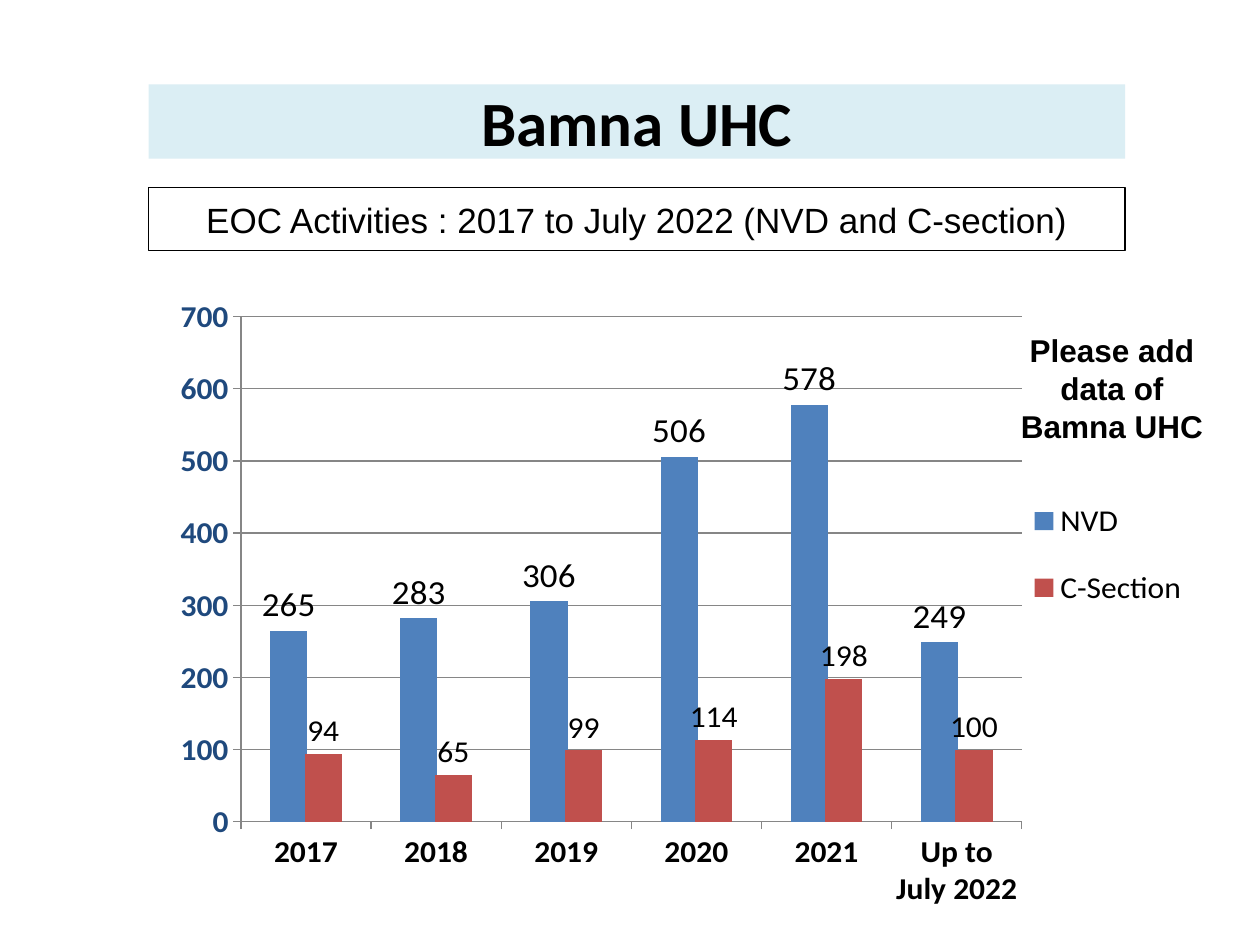
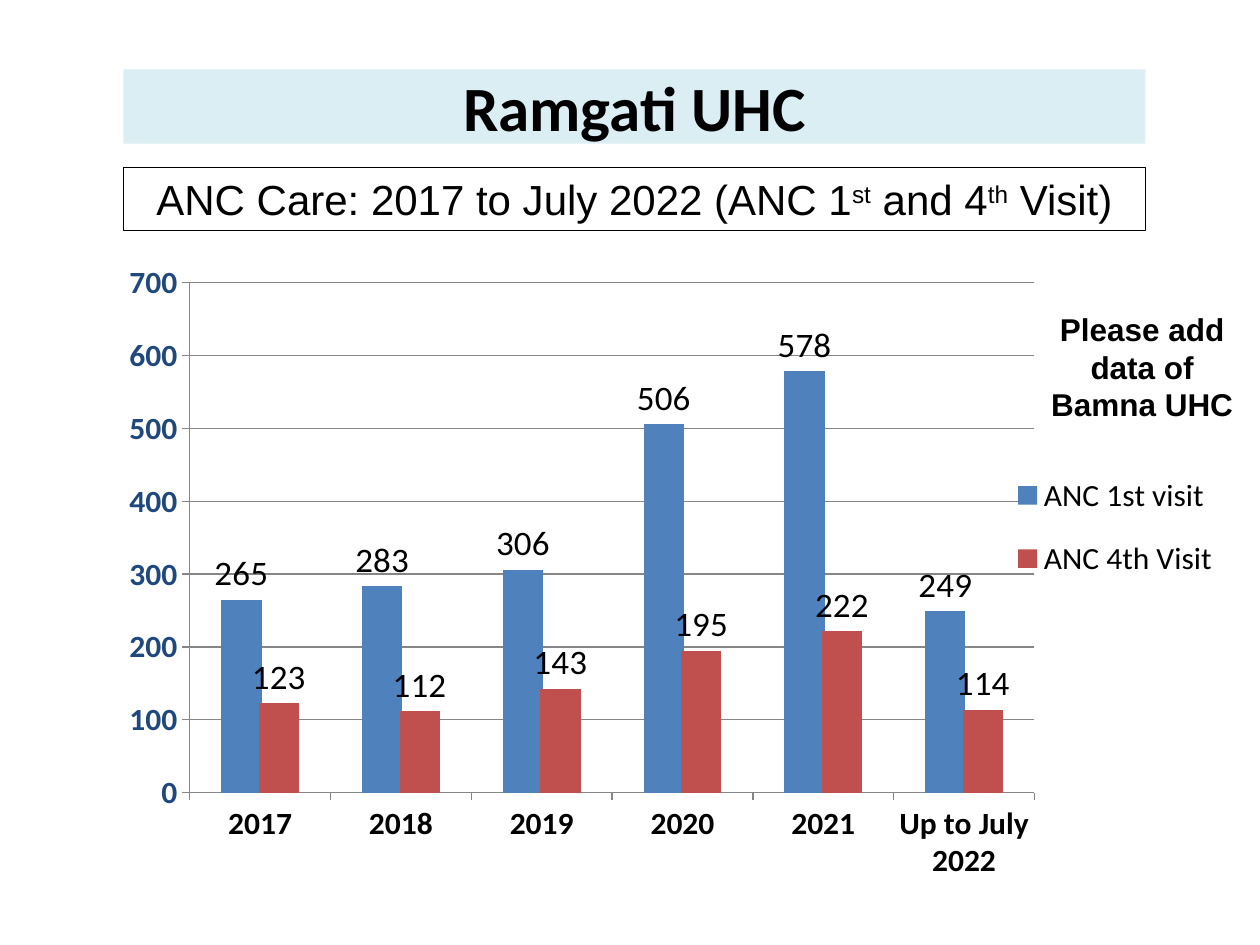
import pptx
import pptx.chart.data
import pptx.dml.color
import pptx.enum.chart
import pptx.enum.shapes
import pptx.enum.text
import pptx.oxml
import pptx.oxml.ns
import pptx.util
from dataclasses import dataclass

Inches = pptx.util.Inches
Pt = pptx.util.Pt


@dataclass(frozen=True)
class Theme:
    heading_font: str = "Calibri"
    body_font: str = "Arial"
    ink: str = "000000"
    paper: str = "FFFFFF"
    title_band: str = "DBEEF4"
    axis_numbers: str = "1F497D"
    rule: str = "868686"
    series: tuple = ("4F81BD", "C0504D")
    title_size: int = 36
    base_size: int = 18
    large_label_size: int = 20
    border_width: float = 0.75


THEME = Theme()
BAND_HEIGHT = 0.59
CAPTION_HEIGHT = 0.5
NOTE_SIZE = (1.87, 1.01)
PLOT_SIZE = (0.745, 0.837)
YEARS = ("2017", "2018", "2019", "2020", "2021", "Up to July 2022")
REQUEST = "Please add data of Bamna UHC"


def rgb(value):
    return pptx.dml.color.RGBColor.from_string(value)


def apply(target, formats):
    for name, value in formats.items():
        setattr(target, name, value)


def style_font(font, size, name, bold=False, color=THEME.ink):
    apply(font, {"size": Pt(size), "name": name, "bold": bold})
    font.color.rgb = rgb(color)


def write_centred(frame, pieces, size, name, bold=False):
    """Write (text, is_superscript) pieces as one centred paragraph."""
    paragraph = frame.paragraphs[0]
    paragraph.alignment = pptx.enum.text.PP_ALIGN.CENTER
    for text, superscript in pieces:
        run = paragraph.add_run()
        run.text = text
        style_font(run.font, size, name, bold)
        if superscript:
            run._r.get_or_add_rPr().set("baseline", "30000")


def add_panel(slide, box, fill):
    panel = slide.shapes.add_shape(
        pptx.enum.shapes.MSO_SHAPE.RECTANGLE, *map(Inches, box))
    panel.shadow.inherit = False
    panel.fill.solid()
    panel.fill.fore_color.rgb = rgb(fill)
    apply(panel.text_frame, {
        "word_wrap": True,
        "vertical_anchor": pptx.enum.text.MSO_ANCHOR.MIDDLE,
    })
    return panel


def add_title_band(slide, box, title):
    band = add_panel(slide, box, THEME.title_band)
    band.line.fill.background()
    apply(band.text_frame, {
        "margin_left": Inches(0.07), "margin_right": Inches(0.07),
        "margin_top": Inches(0.04), "margin_bottom": Inches(0.04),
    })
    write_centred(band.text_frame, [(title, False)], THEME.title_size,
                  THEME.heading_font, bold=True)


def add_caption(slide, box, pieces, size):
    caption = add_panel(slide, box, THEME.paper)
    caption.line.color.rgb = rgb(THEME.ink)
    caption.line.width = Pt(THEME.border_width)
    write_centred(caption.text_frame, pieces, size, THEME.body_font)


def add_request_note(slide, box):
    note = slide.shapes.add_textbox(*map(Inches, box))
    apply(note.text_frame, {
        "word_wrap": True,
        "auto_size": pptx.enum.text.MSO_AUTO_SIZE.SHAPE_TO_FIT_TEXT,
    })
    write_centred(note.text_frame, [(REQUEST, False)], THEME.base_size,
                  THEME.body_font, bold=True)


def manual_layout(fractions, inner=False):
    """Build a chart layout from left, top, width and height fractions."""
    target = '<c:layoutTarget val="inner"/>' if inner else ""
    modes = '<c:xMode val="edge"/><c:yMode val="edge"/>'
    sides = "".join(f'<c:{side} val="{value}"/>'
                    for side, value in zip("xywh", fractions))
    return pptx.oxml.parse_xml(
        f'<c:layout {pptx.oxml.ns.nsdecls("c")}><c:manualLayout>'
        f'{target}{modes}{sides}</c:manualLayout></c:layout>')


def place_chart_parts(chart, plot_origin, legend_area):
    plot_area = chart._chartSpace.chart.plotArea
    legend = chart.legend._element
    for old in plot_area.findall(pptx.oxml.ns.qn("c:layout")):
        plot_area.remove(old)
    plot_area.insert(0, manual_layout((*plot_origin, *PLOT_SIZE), inner=True))
    for old in legend.findall(pptx.oxml.ns.qn("c:layout")):
        legend.remove(old)
    position = legend.find(pptx.oxml.ns.qn("c:legendPos"))
    position.addnext(manual_layout(legend_area))


def style_axes(chart):
    for axis, color in ((chart.category_axis, THEME.ink),
                        (chart.value_axis, THEME.axis_numbers)):
        axis.major_tick_mark = pptx.enum.chart.XL_TICK_MARK.OUTSIDE
        axis.format.line.color.rgb = rgb(THEME.rule)
        style_font(axis.tick_labels.font, THEME.base_size,
                   THEME.heading_font, True, color)
    apply(chart.value_axis, {
        "minimum_scale": 0, "maximum_scale": 700, "major_unit": 100,
        "has_major_gridlines": True,
    })
    chart.value_axis.major_gridlines.format.line.color.rgb = rgb(THEME.rule)


def add_visits_chart(slide, box, counts, label_sizes, plot_origin, legend_area):
    data = pptx.chart.data.CategoryChartData()
    data.categories = YEARS
    for service, values in counts.items():
        data.add_series(service, values)
    chart = slide.shapes.add_chart(
        pptx.enum.chart.XL_CHART_TYPE.COLUMN_CLUSTERED,
        *map(Inches, box), data).chart
    apply(chart, {"has_title": False, "has_legend": True})
    style_font(chart.font, THEME.base_size, THEME.heading_font)
    apply(chart.legend, {
        "position": pptx.enum.chart.XL_LEGEND_POSITION.RIGHT,
        "include_in_layout": False,
    })
    style_axes(chart)

    # Columns and their value labels
    columns = chart.plots[0]
    apply(columns, {"gap_width": 157, "overlap": 7,
                    "vary_by_categories": False})
    for service, color, size in zip(columns.series, THEME.series, label_sizes):
        service.format.fill.solid()
        service.format.fill.fore_color.rgb = rgb(color)
        apply(service.data_labels, {
            "show_value": True,
            "position": pptx.enum.chart.XL_LABEL_POSITION.OUTSIDE_END,
        })
        style_font(service.data_labels.font, size, THEME.heading_font)
    place_chart_parts(chart, plot_origin, legend_area)


def add_centre_slide(deck, heading_box, centre, caption, chart, note_at):
    """Add a health centre slide; heading_box is left, top, width, caption top."""
    slide = deck.slides.add_slide(deck.slide_layouts[6])
    left, top, width, caption_top = heading_box
    add_title_band(slide, (left, top, width, BAND_HEIGHT), centre)
    add_caption(slide, (left, caption_top, width, CAPTION_HEIGHT), **caption)
    add_visits_chart(slide, **chart)
    add_request_note(slide, (*note_at, *NOTE_SIZE))


def main():
    deck = pptx.Presentation()
    apply(deck, {"slide_width": Inches(10), "slide_height": Inches(7.5)})
    first_counts = (265, 283, 306, 506, 578, 249)

    # Deliveries
    add_centre_slide(
        deck, (1.18, 0.67, 7.75, 1.49), "Bamna UHC",
        caption={
            "pieces": [("EOC Activities : 2017 to July 2022 "
                        "(NVD and C-section)", False)],
            "size": 20,
        },
        chart={
            "box": (1.18, 2.22, 8.32, 4.98),
            "counts": {"NVD": first_counts,
                       "C-Section": (94, 65, 99, 114, 198, 100)},
            "label_sizes": (THEME.large_label_size, THEME.base_size),
            "plot_origin": (0.088, 0.061),
            "legend_area": (0.83, 0.32, 0.17, 0.27),
        },
        note_at=(7.89, 2.58))

    # Antenatal care
    add_centre_slide(
        deck, (0.98, 0.55, 8.11, 1.33), "Ramgati UHC",
        caption={
            "pieces": [("ANC Care: 2017 to July 2022 (ANC 1", False),
                       ("st", True), (" and 4", False),
                       ("th", True), (" Visit)", False)],
            "size": 24,
        },
        chart={
            "box": (0.75, 2.03, 9, 4.95),
            "counts": {"ANC 1st visit": first_counts,
                       "ANC 4th Visit": (123, 112, 143, 195, 222, 114)},
            "label_sizes": (THEME.large_label_size,) * 2,
            "plot_origin": (0.084, 0.044),
            "legend_area": (0.8, 0.32, 0.2, 0.25),
        },
        note_at=(8.13, 2.41))

    deck.save("out.pptx")


if __name__ == "__main__":
    main()
